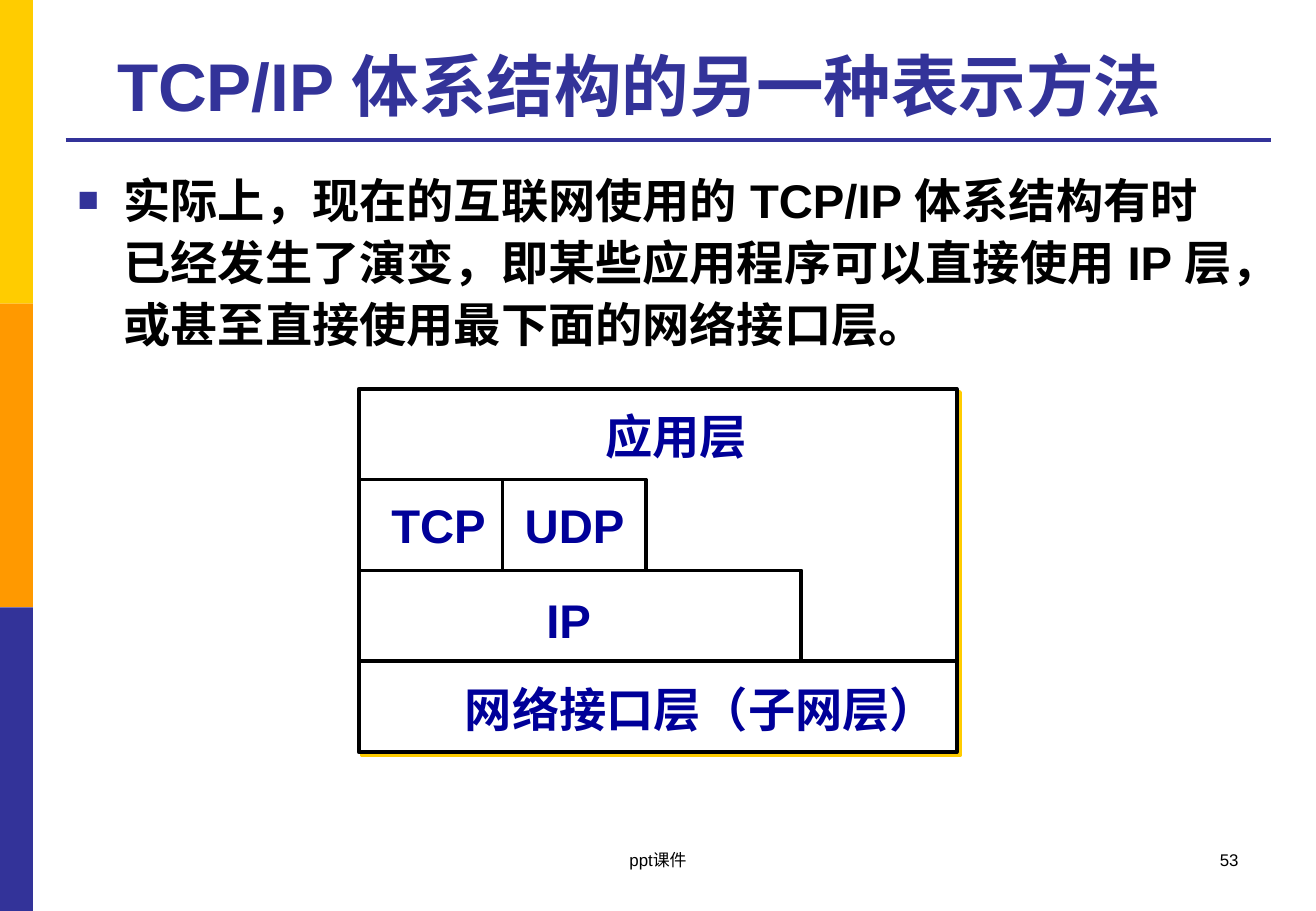
from lxml import etree
from pptx import Presentation
from pptx.dml.color import RGBColor
from pptx.enum.shapes import MSO_CONNECTOR as Connector, MSO_SHAPE as Preset
from pptx.enum.text import MSO_ANCHOR as Anchor, MSO_AUTO_SIZE as AutoSize, PP_ALIGN as Align
from pptx.oxml import parse_xml
from pptx.oxml.ns import nsdecls, qn
from pptx.util import Cm, Pt

COLORS = {
    "yellow": "FFCC00",
    "orange": "FF9900",
    "indigo": "333399",
    "navy": "000099",
    "black": "000000",
    "white": "FFFFFF",
}


def write(box, text, size, color, bold=True, align=Align.LEFT, anchor=Anchor.TOP):
    """Put one formatted run in the box and return its paragraph."""
    frame = box.text_frame
    frame.word_wrap = True
    frame.auto_size = AutoSize.NONE
    frame.vertical_anchor = anchor
    para = frame.paragraphs[0]
    para.alignment = align
    para.space_before = Pt(0)
    span = para.add_run()
    span.text = text
    span.font.name = "Arial"
    span.font.size = Pt(size)
    span.font.bold = bold
    span.font.color.rgb = RGBColor.from_string(COLORS[color])
    east_asian = etree.SubElement(span.font._element, qn("a:ea"))
    east_asian.set("typeface", "Arial")
    return para


def add_line(x1, y1, x2, y2, color="black", width=2.25):
    line = page.shapes.add_connector(Connector.STRAIGHT, Cm(x1), Cm(y1), Cm(x2), Cm(y2))
    line.line.color.rgb = RGBColor.from_string(COLORS[color])
    line.line.width = Pt(width)
    etree.SubElement(line._element.spPr, qn("a:effectLst"))


deck = Presentation()
deck.slide_width, deck.slide_height = Cm(27.51), Cm(19.05)
page = deck.slides.add_slide(deck.slide_layouts[1])

# Side stripe and title rule
for index, color in enumerate(("yellow", "orange", "indigo")):
    stripe = page.shapes.add_shape(Preset.RECTANGLE, 0, Cm(6.35 * index), Cm(0.69), Cm(6.35))
    stripe.shadow.inherit = False
    stripe.fill.solid()
    stripe.fill.fore_color.rgb = RGBColor.from_string(COLORS[color])
    stripe.line.fill.background()
add_line(1.37, 2.92, 26.57, 2.92, "indigo")

# Title and bullet
title, body = page.placeholders
title.left, title.top, title.width, title.height = Cm(1.37), Cm(0.53), Cm(23.98), Cm(2.21)
write(title, "TCP/IP 体系结构的另一种表示方法", 40, "indigo", align=Align.CENTER, anchor=Anchor.BOTTOM)

body.left, body.top, body.width, body.height = Cm(1.37), Cm(3.33), Cm(24.7), Cm(13.72)
properties = body.text_frame.paragraphs[0]._p.get_or_add_pPr()
properties.set("marL", str(Cm(0.96)))
properties.set("indent", str(Cm(-0.96)))
for bullet in (
    f'<a:buClr {nsdecls("a")}><a:srgbClr val="{COLORS["indigo"]}"/></a:buClr>',
    f'<a:buSzPct {nsdecls("a")} val="75000"/>',
    f'<a:buFont {nsdecls("a")} typeface="Arial"/>',
    f'<a:buChar {nsdecls("a")} char="■"/>',
):
    properties.append(parse_xml(bullet))
statement = write(
    body,
    "实际上，现在的互联网使用的 TCP/IP 体系结构有时已经发生了演变，"
    "即某些应用程序可以直接使用 IP 层，或甚至直接使用最下面的网络接口层。",
    28,
    "black",
)
statement.line_spacing = 1.1

# Layer diagram: four equal rows inside one frame
left, top, width, row = 7.5, 8.13, 12.5, 1.9
transport_top, ip_top, link_top = (top + row * step for step in (1, 2, 3))

stack = page.shapes.add_shape(Preset.RECTANGLE, Cm(left), Cm(top), Cm(width), Cm(4 * row))
stack.fill.solid()
stack.fill.fore_color.rgb = RGBColor.from_string(COLORS["white"])
stack.line.color.rgb = RGBColor.from_string(COLORS["black"])
stack.line.width = Pt(2.25)
stack.shadow.inherit = False
stack._element.spPr.find(qn("a:effectLst")).append(parse_xml(
    f'<a:outerShdw {nsdecls("a")} dist="{Pt(2.8)}" dir="2700000" algn="ctr" rotWithShape="0">'
    f'<a:srgbClr val="{COLORS["yellow"]}"/></a:outerShdw>'
))

add_line(left, link_top, left + width, link_top)
for step_top, step_width in ((ip_top, 9.25), (transport_top, 6)):
    right = Cm(left + step_width)
    builder = page.shapes.build_freeform(Cm(left), Cm(step_top))
    builder.add_line_segments([(right, Cm(step_top)), (right, Cm(step_top + row))], close=False)
    step = builder.convert_to_shape()
    step.shadow.inherit = False
    step.fill.background()
    step.line.color.rgb = RGBColor.from_string(COLORS["black"])
    step.line.width = Pt(2.25)
add_line(left + 3, transport_top, left + 3, ip_top, width=1.5)

for text, label_left, label_top, label_width in (
    ("TCP", 7.93, 10.26, 2.75),
    ("UDP", 10.72, 10.26, 2.75),
    ("IP", 11.17, 12.24, 1.57),
    ("应用层", 12.4, 8.4, 3.84),
    ("网络接口层（子网层）", 9.47, 14.1, 11.5),
):
    label = page.shapes.add_textbox(Cm(label_left), Cm(label_top), Cm(label_width), Cm(1.45))
    write(label, text, 28, "navy")

# Footer
for text, note_left, note_width, align in (
    ("53", 19.71, 6.43, Align.RIGHT),
    ("ppt课件", 9.4, 8.71, Align.CENTER),
):
    note = page.shapes.add_textbox(Cm(note_left), Cm(17.65), Cm(note_width), Cm(1.27))
    write(note, text, 10, "black", bold=False, align=align)

deck.save("out.pptx")
